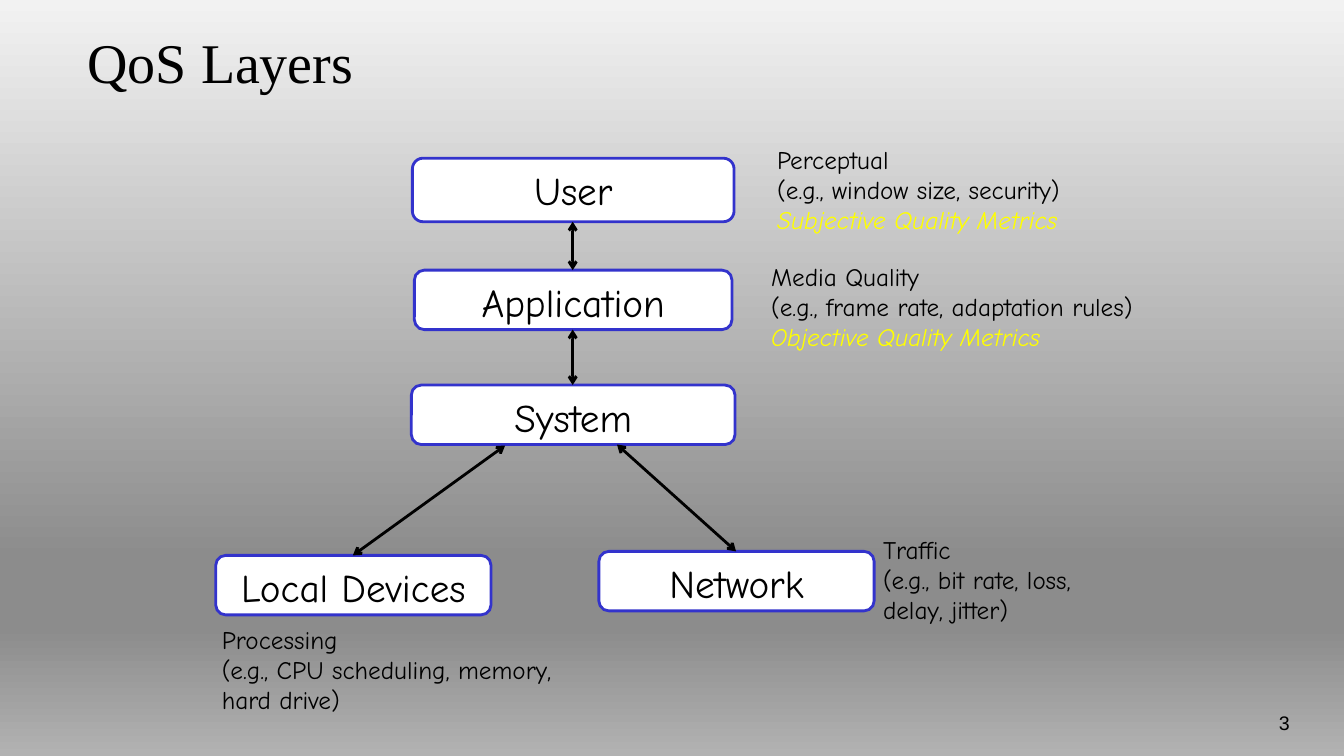
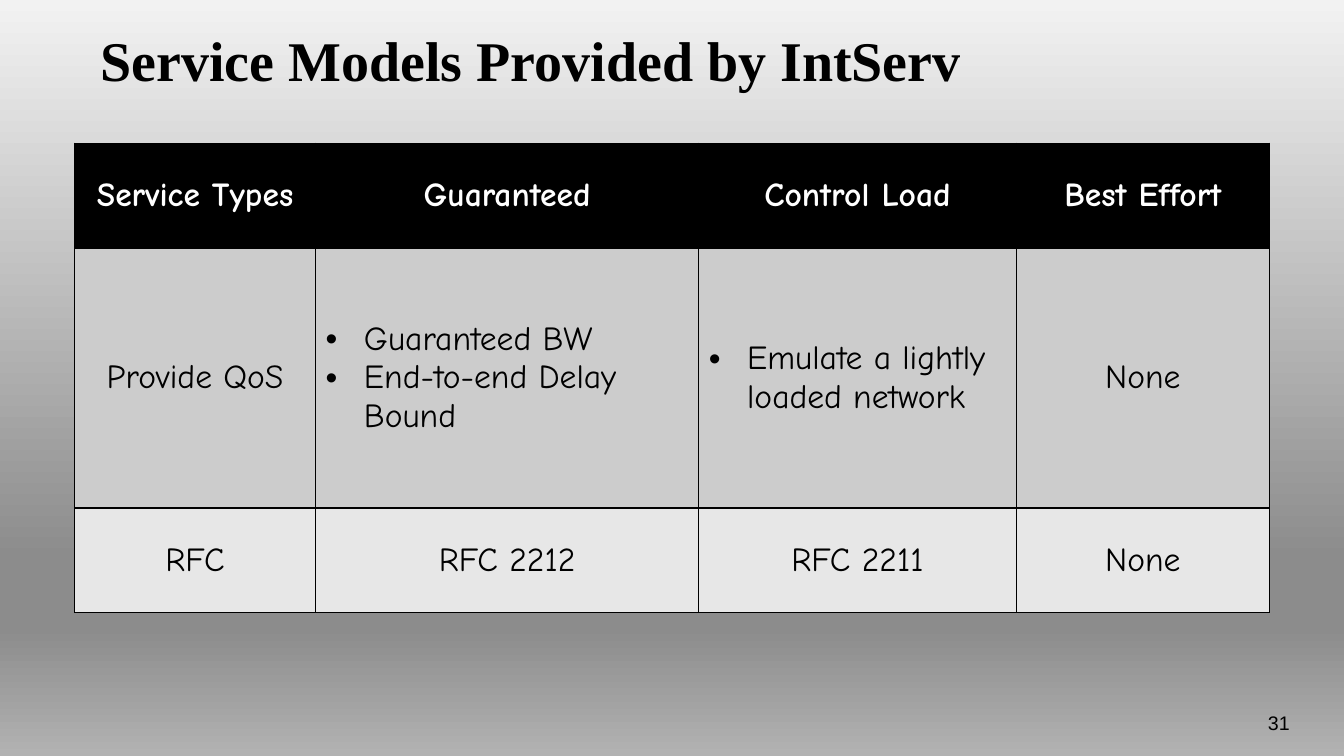
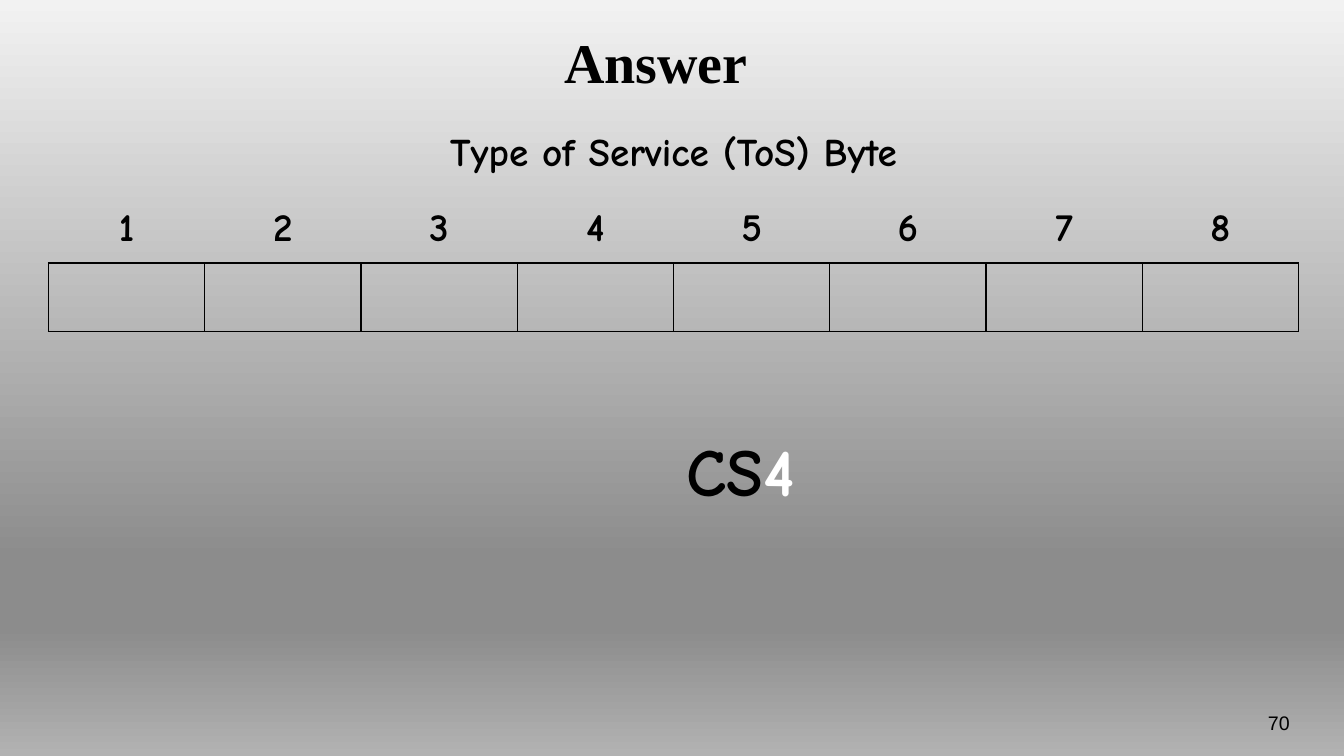
from dataclasses import dataclass, replace

from lxml import etree
from pptx import Presentation
from pptx.dml.color import RGBColor
from pptx.enum.shapes import MSO_CONNECTOR, MSO_SHAPE
from pptx.enum.text import MSO_ANCHOR, PP_ALIGN
from pptx.oxml.ns import qn
from pptx.presentation import Presentation as Deck
from pptx.shapes.connector import Connector
from pptx.slide import Slide
from pptx.table import Table, _Cell
from pptx.text.text import TextFrame
from pptx.util import Emu, Pt

LEFT, CENTER, RIGHT = PP_ALIGN.LEFT, PP_ALIGN.CENTER, PP_ALIGN.RIGHT
TOP, MIDDLE = MSO_ANCHOR.TOP, MSO_ANCHOR.MIDDLE
ROUND, STRAIGHT = MSO_SHAPE.ROUNDED_RECTANGLE, MSO_CONNECTOR.STRAIGHT
PX = 9144  # EMU, 100 px to the inch
PLAIN_GRID = "{2D5ABB26-0587-4C30-8999-92F81FD0307C}"


@dataclass(frozen=True)
class Type:
    size: int
    font: str
    ink: str = "000000"
    bold: bool = False
    italic: bool = False


@dataclass(frozen=True)
class Theme:
    ink: str = "000000"
    paper: str = "FFFFFF"
    edge: str = "3333CC"
    rows: tuple[str, ...] = ("000000", "CCCCCC", "E7E7E7")
    back: tuple[tuple[int, str], ...] = (
        (0, "F2F2F2"), (74, "8C8C8C"), (83, "8C8C8C"), (100, "B2B2B2"))
    title: Type = Type(40, "Times New Roman")
    number: Type = Type(14, "Arial")
    label: Type = Type(28, "Comic Neue")
    note: Type = Type(18, "Comic Neue")
    metric: Type = Type(18, "Comic Neue", "FFFF00", italic=True)
    cell: Type = Type(24, "Comic Neue")
    head: Type = Type(24, "Comic Neue", "FFFFFF", True)
    byte: Type = Type(28, "Comic Neue", bold=True)
    answer: Type = Type(48, "Comic Neue", bold=True)
    line: int = 2
    grid: int = 1


THEME = Theme()


@dataclass(frozen=True)
class Box:
    x: int
    y: int
    w: int
    h: int

    def emu(self) -> tuple[Emu, ...]:
        return tuple(px(n) for n in (self.x, self.y, self.w, self.h))


@dataclass(frozen=True)
class Layer:
    name: str
    box: Box


@dataclass(frozen=True)
class Arrow:
    start: tuple[int, int]
    end: tuple[int, int]


@dataclass(frozen=True)
class Note:
    box: Box
    lines: tuple[str, ...]
    metric: bool = False
    inset: tuple[int, int, int, int] = (10, 0, 10, 5)


def px(n: int) -> Emu:
    return Emu(n * PX)


def rgb(code: str) -> RGBColor:
    return RGBColor.from_string(code)


def style(run, kind: Type) -> None:
    font = run.font
    font.size, font.name = Pt(kind.size), kind.font
    font.bold, font.italic = kind.bold, kind.italic
    font.color.rgb = rgb(kind.ink)


def write(frame: TextFrame, text: str, kind: Type, align=LEFT) -> None:
    """Set the text, one paragraph a line, and format every run."""
    frame.text = text
    for para in frame.paragraphs:
        para.alignment = align
        for run in para.runs:
            style(run, kind)


def add_text(slide: Slide, box: Box, text: str, kind: Type,
             align=LEFT, anchor=TOP) -> TextFrame:
    frame = slide.shapes.add_textbox(*box.emu()).text_frame
    frame.word_wrap = True
    frame.vertical_anchor = anchor
    write(frame, text, kind, align)
    return frame


def add_slide(deck: Deck, title: str, box: Box, number: int,
              bold: bool = True, align=LEFT) -> Slide:
    slide = deck.slides.add_slide(deck.slide_layouts[6])
    add_text(slide, box, title, replace(THEME.title, bold=bold), align, MIDDLE)
    add_text(slide, Box(1190, 700, 99, 50), str(number), THEME.number, RIGHT)
    return slide


def set_back(deck: Deck) -> None:
    """Put the gradient on the master, top to bottom."""
    master = deck.slide_master
    fill = master.background.fill
    fill.gradient()
    fill.gradient_angle = 270
    stops = master.element.find(".//" + qn("a:gsLst"))
    for stop in list(stops):
        stops.remove(stop)
    for pos, code in THEME.back:
        stop = etree.SubElement(stops, qn("a:gs"), pos=str(pos * 1000))
        etree.SubElement(stop, qn("a:srgbClr"), val=code)


def add_layer(slide: Slide, layer: Layer) -> None:
    shape = slide.shapes.add_shape(ROUND, *layer.box.emu())
    shape.shadow.inherit = False
    shape.fill.solid()
    shape.fill.fore_color.rgb = rgb(THEME.paper)
    shape.line.color.rgb = rgb(THEME.edge)
    shape.line.width = Pt(THEME.line)
    frame = shape.text_frame
    frame.word_wrap = False
    frame.vertical_anchor = TOP
    write(frame, layer.name, THEME.label, CENTER)


def add_arrow(slide: Slide, arrow: Arrow) -> Connector:
    ends = (px(n) for n in arrow.start + arrow.end)
    link = slide.shapes.add_connector(STRAIGHT, *ends)
    link.line.color.rgb = rgb(THEME.ink)
    link.line.width = Pt(THEME.line)
    props = link._element.spPr
    line = props.find(qn("a:ln"))
    for tag in ("a:headEnd", "a:tailEnd"):
        etree.SubElement(line, qn(tag), type="arrow")
    etree.SubElement(props, qn("a:effectLst"))
    return link


def add_note(slide: Slide, note: Note) -> None:
    frame = add_text(slide, note.box, "\n".join(note.lines), THEME.note)
    (frame.margin_left, frame.margin_top, frame.margin_right,
     frame.margin_bottom) = (px(n) for n in note.inset)
    if note.metric:
        style(frame.paragraphs[-1].runs[0], THEME.metric)


def add_grid(slide: Slide, box: Box, cols: list[int], rows: list[int]) -> Table:
    """Add a table without style, banding or fill."""
    shape = slide.shapes.add_table(len(rows), len(cols), *box.emu())
    table = shape.table
    table.first_row = table.horz_banding = False
    table._tbl.tblPr.find(qn("a:tableStyleId")).text = PLAIN_GRID
    for col, width in zip(table.columns, cols):
        col.width = px(width)
    for row, height in zip(table.rows, rows):
        row.height = px(height)
    for cell in table.iter_cells():
        cell.fill.background()
    return table


def set_edges(cell: _Cell) -> None:
    props = cell._tc.get_or_add_tcPr()
    for at, side in enumerate("LRTB"):
        line = etree.Element(qn(f"a:ln{side}"), w=str(Pt(THEME.grid)))
        fill = etree.SubElement(line, qn("a:solidFill"))
        etree.SubElement(fill, qn("a:srgbClr"), val=THEME.ink)
        props.insert(at, line)


def set_bullets(frame: TextFrame, indent: int) -> None:
    for para in frame.paragraphs:
        props = para._p.get_or_add_pPr()
        props.set("marL", str(px(indent)))
        props.set("indent", str(-px(indent)))
        etree.SubElement(props, qn("a:buFont"), typeface="Arial")
        etree.SubElement(props, qn("a:buChar"), char="•")


def draw_layers(deck: Deck) -> None:
    slide = add_slide(deck, "QoS Layers", Box(77, 20, 1130, 81), 3, bold=False)
    layers = (
        Layer("User", Box(409, 157, 319, 63)),
        Layer("Application", Box(411, 268, 315, 59)),
        Layer("System", Box(408, 382, 321, 59)),
        Layer("Local Devices", Box(214, 551, 273, 59)),
        Layer("Network", Box(594, 547, 273, 59)),
    )
    arrows = (
        Arrow((568, 220), (568, 268)),
        Arrow((568, 327), (568, 382)),
        Arrow((612, 441), (730, 547)),
        Arrow((501, 442), (350, 551)),
    )
    notes = (
        Note(Box(761, 143, 351, 96),
             ("Perceptual", "(e.g., window size, security)",
              "Subjective Quality Metrics"), metric=True),
        Note(Box(755, 259, 384, 126),
             ("Media Quality", "(e.g., frame rate, adaptation rules)",
              "Objective Quality Metrics"), metric=True),
        Note(Box(866, 530, 300, 126),
             ("Traffic", "(e.g., bit rate, loss,", "delay, jitter)")),
        Note(Box(220, 619, 364, 121),
             ("Processing", "(e.g., CPU scheduling, memory, hard drive)"),
             inset=(0, 0, 0, 0)),
    )
    for layer in layers:
        add_layer(slide, layer)
    for arrow in arrows:
        add_arrow(slide, arrow)
    for note in notes:
        add_note(slide, note)


def draw_models(deck: Deck) -> None:
    slide = add_slide(deck, "Service Models Provided by IntServ",
                      Box(90, 28, 1185, 62), 31)
    rows = (
        ("Service Types", "Guaranteed", "Control Load", "Best Effort"),
        ("Provide QoS", "Guaranteed BW\nEnd-to-end Delay Bound",
         "Emulate a lightly loaded network", "None"),
        ("RFC", "RFC 2212", "RFC 2211", "None"),
    )
    lists = {(1, 1), (1, 2)}
    table = add_grid(slide, Box(74, 142, 1185, 466),
                     [239, 380, 315, 251], [104, 258, 104])
    for r, row in enumerate(rows):
        for c, text in enumerate(row):
            cell = table.cell(r, c)
            cell.fill.solid()
            cell.fill.fore_color.rgb = rgb(THEME.rows[r])
            cell.vertical_anchor = MIDDLE
            set_edges(cell)
            listed = (r, c) in lists
            write(cell.text_frame, text, THEME.cell if r else THEME.head,
                  LEFT if listed else CENTER)
            if listed:
                set_bullets(cell.text_frame, 38)


def draw_answer(deck: Deck) -> None:
    slide = add_slide(deck, "Answer", Box(84, 32, 1133, 57), 70, align=CENTER)
    bits = 8
    table = add_grid(slide, Box(48, 125, 1240, 204), [155] * bits, [68] * 3)
    head = table.cell(0, 0)
    head.merge(table.cell(0, bits - 1))
    write(head.text_frame, "Type of Service (ToS) Byte", THEME.byte, CENTER)
    for bit in range(bits):
        cell = table.cell(1, bit)
        cell.vertical_anchor = MIDDLE
        write(cell.text_frame, str(bit + 1), THEME.byte, CENTER)
        set_edges(table.cell(2, bit))
    frame = add_text(slide, Box(637, 421, 195, 91), "CS", THEME.answer, CENTER)
    digit = frame.paragraphs[0].add_run()
    digit.text = "4"
    style(digit, replace(THEME.answer, ink=THEME.paper))


def main() -> None:
    deck = Presentation()
    deck.slide_width, deck.slide_height = px(1333), px(750)
    set_back(deck)
    for draw in (draw_layers, draw_models, draw_answer):
        draw(deck)
    deck.save("out.pptx")


if __name__ == "__main__":
    main()
